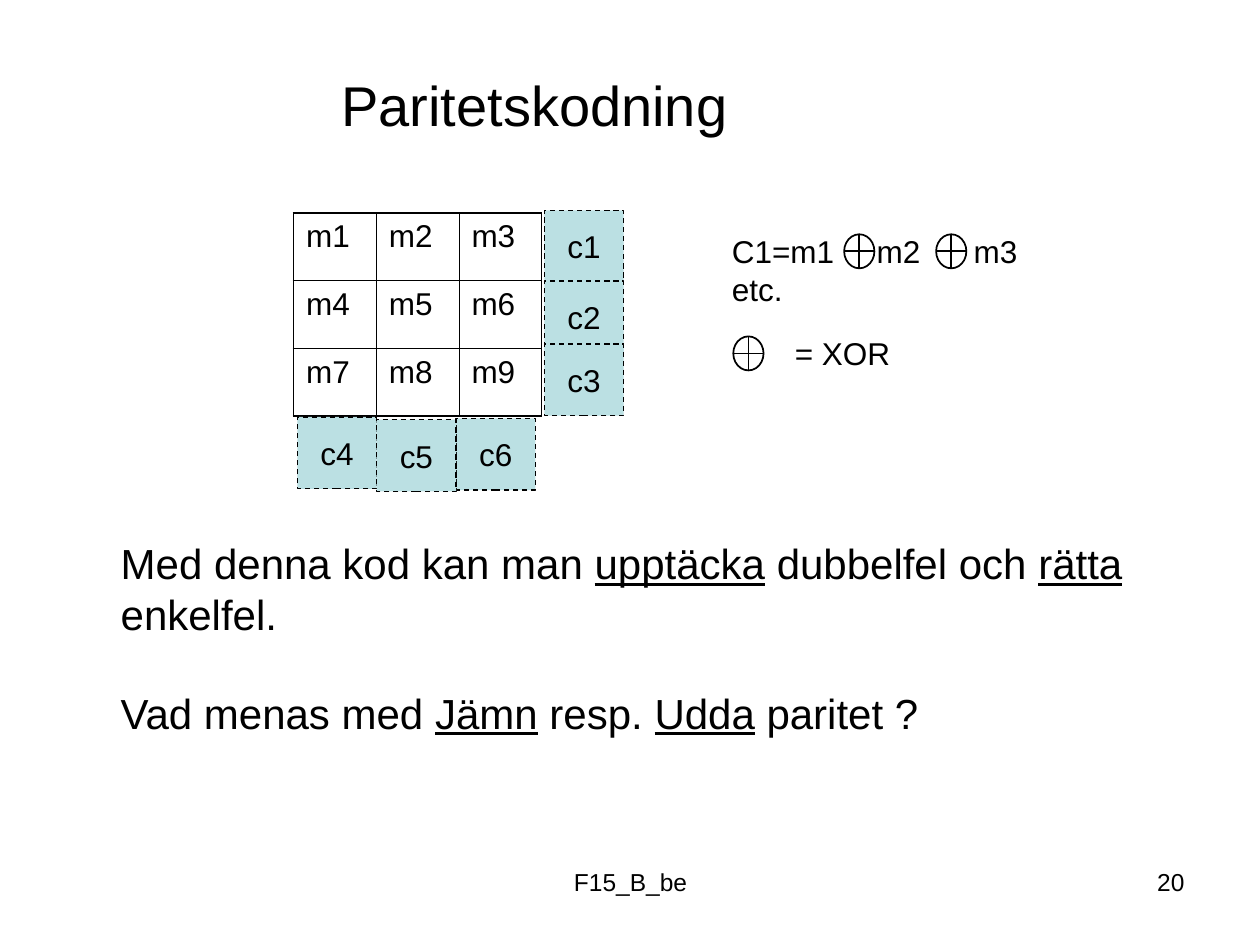
"""Build the slide on two-dimensional parity coding."""
from dataclasses import dataclass

from lxml.etree import SubElement
from pptx import Presentation
from pptx.dml.color import RGBColor
from pptx.enum.dml import MSO_LINE
from pptx.enum.shapes import MSO_CONNECTOR as Connector, MSO_SHAPE as Shape
from pptx.enum.text import MSO_ANCHOR as Anchor, MSO_AUTO_SIZE as AutoSize, PP_ALIGN as Align
from pptx.oxml.ns import qn
from pptx.util import Inches, Pt


@dataclass(frozen=True)
class Theme:
    """Colours, font, type sizes and line widths of the slide."""

    font: str = "Arial"
    ink: RGBColor = RGBColor(0x00, 0x00, 0x00)
    check_fill: RGBColor = RGBColor(0xBB, 0xE0, 0xE3)
    title: int = 32
    body: int = 24
    label: int = 18
    footer: int = 14
    check_line: float = 0.75
    symbol_line: float = 1
    outer_border: float = 1.08
    inner_border: float = 0.45


THEME = Theme()
COLUMNS, ROWS = 100, 75
WIDTH, HEIGHT = Inches(10), Inches(7.5)
MESSAGE_SIZE = 3
CHECK_WIDTH, CHECK_HEIGHT = 6.3, 5.7
XOR_WIDTH, XOR_HEIGHT = 2.4, 2.7


def across(columns):
    """Turn grid columns into a length."""
    return round(WIDTH * columns / COLUMNS)


def down(rows):
    """Turn grid rows into a length."""
    return round(HEIGHT * rows / ROWS)


def area(left, top, width, height):
    """Turn a grid area into left, top, width and height."""
    return across(left), down(top), across(width), down(height)


def add_span(para, text, size, underline=False):
    """Add one formatted run to a paragraph."""
    span = para.add_run()
    span.text = text
    span.font.name = THEME.font
    span.font.size = Pt(size)
    span.font.color.rgb = THEME.ink
    if underline:
        span.font.underline = True


def fill_frame(frame, lines, size, align=Align.LEFT, anchor=Anchor.TOP):
    """Write lines of (text, underline) spans into a text frame."""
    frame.word_wrap = True
    frame.auto_size = AutoSize.NONE
    frame.vertical_anchor = anchor
    for index, spans in enumerate(lines):
        para = frame.add_paragraph() if index else frame.paragraphs[0]
        para.alignment = align
        for text, underline in spans:
            add_span(para, text, size, underline)
    return frame


def add_text(page, place, lines, size, align=Align.LEFT):
    """Add a text box."""
    box = page.shapes.add_textbox(*area(*place))
    return fill_frame(box.text_frame, lines, size, align)


def set_title(page, place, text):
    """Move the title placeholder and write the title."""
    box = page.shapes.title
    box.left, box.top, box.width, box.height = area(*place)
    fill_frame(box.text_frame, [[(text, False)]], THEME.title)


def set_tabs(para, stops):
    """Give a paragraph left tab stops at grid columns."""
    tabs = SubElement(para._p.get_or_add_pPr(), qn("a:tabLst"))
    for stop in stops:
        SubElement(tabs, qn("a:tab"), pos=str(across(stop)), algn="l")


def set_borders(cell, widths):
    """Draw the left, right, top and bottom borders of a cell."""
    props = cell._tc.get_or_add_tcPr()
    for index, (side, width) in enumerate(zip("LRTB", widths)):
        line = SubElement(props, qn(f"a:ln{side}"), w=str(Pt(width)))
        fill = SubElement(line, qn("a:solidFill"))
        SubElement(fill, qn("a:srgbClr"), val=str(THEME.ink))
        props.insert(index, line)


def add_message_table(page, place):
    """Add the square of message bits m1 to m9."""
    size, last = MESSAGE_SIZE, MESSAGE_SIZE - 1
    table = page.shapes.add_table(size, size, *area(*place)).table
    table.first_row = table.horz_banding = False
    for index, cell in enumerate(table.iter_cells()):
        row, column = divmod(index, size)
        cell.fill.background()
        add_span(cell.text_frame.paragraphs[0], f"m{index + 1}", THEME.label)
        outer = (column == 0, column == last, row == 0, row == last)
        set_borders(cell, [THEME.outer_border if edge else THEME.inner_border for edge in outer])


def add_check(page, left, top, label):
    """Add one dashed square holding a check bit."""
    box = page.shapes.add_shape(Shape.RECTANGLE, *area(left, top, CHECK_WIDTH, CHECK_HEIGHT))
    box.shadow.inherit = False
    box.fill.solid()
    box.fill.fore_color.rgb = THEME.check_fill
    box.line.color.rgb = THEME.ink
    box.line.width = Pt(THEME.check_line)
    box.line.dash_style = MSO_LINE.DASH
    fill_frame(box.text_frame, [[(label, False)]], THEME.label, Align.CENTER, Anchor.MIDDLE)


def add_stroke(page, x1, y1, x2, y2):
    """Add one thin straight line."""
    line = page.shapes.add_connector(
        Connector.STRAIGHT, across(x1), down(y1), across(x2), down(y2))
    line.line.color.rgb = THEME.ink
    line.line.width = Pt(THEME.symbol_line)
    SubElement(line._element.spPr, qn("a:effectLst"))


def add_xor(page, left, top):
    """Add an XOR sign: a circle with a cross in it."""
    ring = page.shapes.add_shape(Shape.OVAL, *area(left, top, XOR_WIDTH, XOR_HEIGHT))
    ring.shadow.inherit = False
    ring.fill.background()
    ring.line.color.rgb = THEME.ink
    ring.line.width = Pt(THEME.symbol_line)
    middle, centre = top + XOR_HEIGHT / 2, left + XOR_WIDTH / 2
    add_stroke(page, left, middle, left + XOR_WIDTH, middle)
    add_stroke(page, centre, top, centre, top + XOR_HEIGHT)


def main():
    """Build and save the deck."""
    deck = Presentation()
    deck.slide_width, deck.slide_height = WIDTH, HEIGHT
    page = deck.slides.add_slide(deck.slide_layouts[5])
    set_title(page, (26.1, 5.1, 34, 6.4), "Paritetskodning")

    add_message_table(page, (23.3, 16.9, 19.7, 16.1))
    for number, top in enumerate((16.7, 22.3, 27.3), 1):
        add_check(page, 43.2, top, f"c{number}")
    for column, top in ((2, 33.2), (1, 33.3), (0, 33.1)):
        add_check(page, 23.6 + column * CHECK_WIDTH, top, f"c{column + 4}")

    formula = add_text(page, (57.1, 17.9, 26, 7),
                       [[("C1=m1\tm2\tm3", False)], [("etc.", False)]], THEME.label)
    set_tabs(formula.paragraphs[0], (11.5, 19.2))
    for left, top in ((67, 18.6), (74.3, 18.6), (58.2, 26.7)):
        add_xor(page, left, top)
    add_text(page, (62.1, 26, 10.5, 4), [[("= XOR", False)]], THEME.label)

    body = add_text(page, (8.6, 42.2, 83, 17), [
        [("Med denna kod kan man ", False), ("upptäcka", True),
         (" dubbelfel och ", False), ("rätta", True)],
        [("enkelfel.", False)],
        [("Vad menas med ", False), ("Jämn", True), (" resp. ", False),
         ("Udda", True), (" paritet ?", False)],
    ], THEME.body)
    body.paragraphs[2].space_before = Pt(THEME.body * 1.15)

    add_text(page, (34.2, 68.3, 31.7, 5.2), [[("F15_B_be", False)]], THEME.footer, Align.CENTER)
    add_text(page, (71.7, 68.3, 23.3, 5.2), [[("20", False)]], THEME.footer, Align.RIGHT)
    deck.save("out.pptx")


if __name__ == "__main__":
    main()
